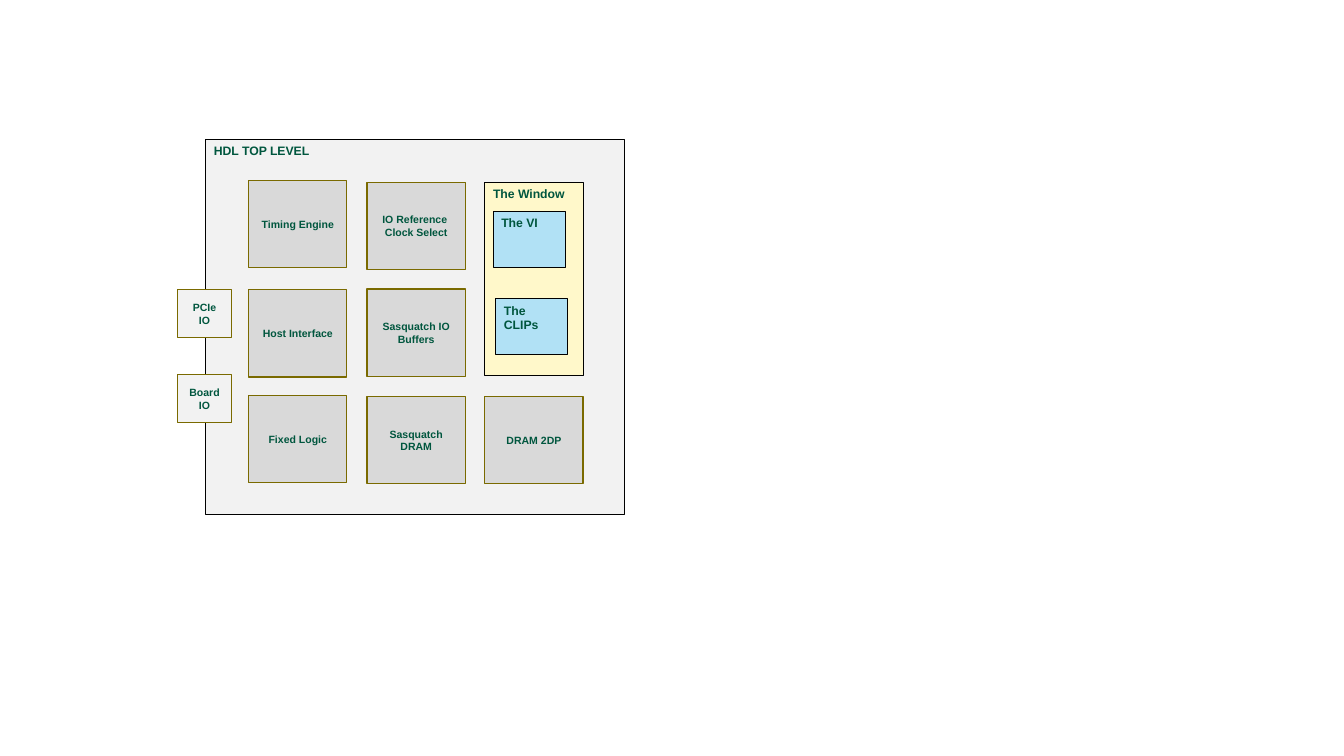
import pptx
import pptx.util
import pptx.dml.color
import pptx.enum.shapes
import pptx.enum.text

Cm = pptx.util.Cm
Pt = pptx.util.Pt
RGBColor = pptx.dml.color.RGBColor
ALIGN = pptx.enum.text.PP_ALIGN
ANCHOR = pptx.enum.text.MSO_ANCHOR

GREEN = RGBColor(0x00, 0x56, 0x3E)
BLACK = RGBColor(0x00, 0x00, 0x00)
OLIVE = RGBColor(0x7A, 0x6A, 0x00)
PALE_GRAY = RGBColor(0xF2, 0xF2, 0xF2)
GRAY = RGBColor(0xD9, 0xD9, 0xD9)
CREAM = RGBColor(0xFF, 0xF8, 0xCA)
SKY = RGBColor(0xB1, 0xE1, 0xF5)

CONTAINERS = [
    (["HDL TOP LEVEL"], 6.22, 4.22, 12.67, 11.35, PALE_GRAY),
    (["The Window"], 14.66, 5.51, 2.97, 5.84, CREAM),
]
PORT_LEFT, PORT_SIZE = 5.36, (1.65, 1.45)
PORTS = [(["PCIe", "IO"], 8.76), (["Board IO"], 11.33)]
BLOCK_SIZE = (2.97, 2.64)
BLOCK_COLUMNS = [
    (7.52, [(["Timing Engine"], 5.46), (["Host Interface"], 8.76), (["Fixed Logic"], 11.96)]),
    (11.1, [(["IO Reference ", "Clock Select"], 5.51), (["Sasquatch IO Buffers"], 8.74),
            (["Sasquatch DRAM"], 11.99)]),
    (14.66, [(["DRAM 2DP"], 11.99)]),
]
INNER_SIZE = (2.18, 1.68)
INNER = [(["The CLIPs"], 14.99, 9.04), (["The VI"], 14.91, 6.4)]


def add_box(page, lines, left, top, width, height, fill, centred=False):
    box = page.shapes.add_shape(
        pptx.enum.shapes.MSO_SHAPE.RECTANGLE, Cm(left), Cm(top), Cm(width), Cm(height))
    box.shadow.inherit = False
    box.fill.solid()
    box.fill.fore_color.rgb = fill
    box.line.color.rgb = OLIVE if centred else BLACK
    box.line.width = Pt(1 if centred else 0.75)
    frame = box.text_frame
    frame.word_wrap = True
    frame.vertical_anchor = ANCHOR.MIDDLE if centred else ANCHOR.TOP
    for index, line in enumerate(lines):
        para = frame.add_paragraph() if index else frame.paragraphs[0]
        para.alignment = ALIGN.CENTER if centred else ALIGN.LEFT
        span = para.add_run()
        span.text = line
        span.font.name = "Arial"
        span.font.size = Pt(9 if centred else 10.5)
        span.font.bold = True
        span.font.color.rgb = GREEN


def main():
    deck = pptx.Presentation()
    deck.slide_width, deck.slide_height = Cm(40.64), Cm(22.86)
    page = deck.slides.add_slide(deck.slide_layouts[6])
    for container in CONTAINERS:
        add_box(page, *container)
    for lines, top in PORTS:
        add_box(page, lines, PORT_LEFT, top, *PORT_SIZE, PALE_GRAY, centred=True)
    for left, blocks in BLOCK_COLUMNS:
        for lines, top in blocks:
            add_box(page, lines, left, top, *BLOCK_SIZE, GRAY, centred=True)
    for lines, left, top in INNER:
        add_box(page, lines, left, top, *INNER_SIZE, SKY)
    deck.save("out.pptx")


if __name__ == "__main__":
    main()
